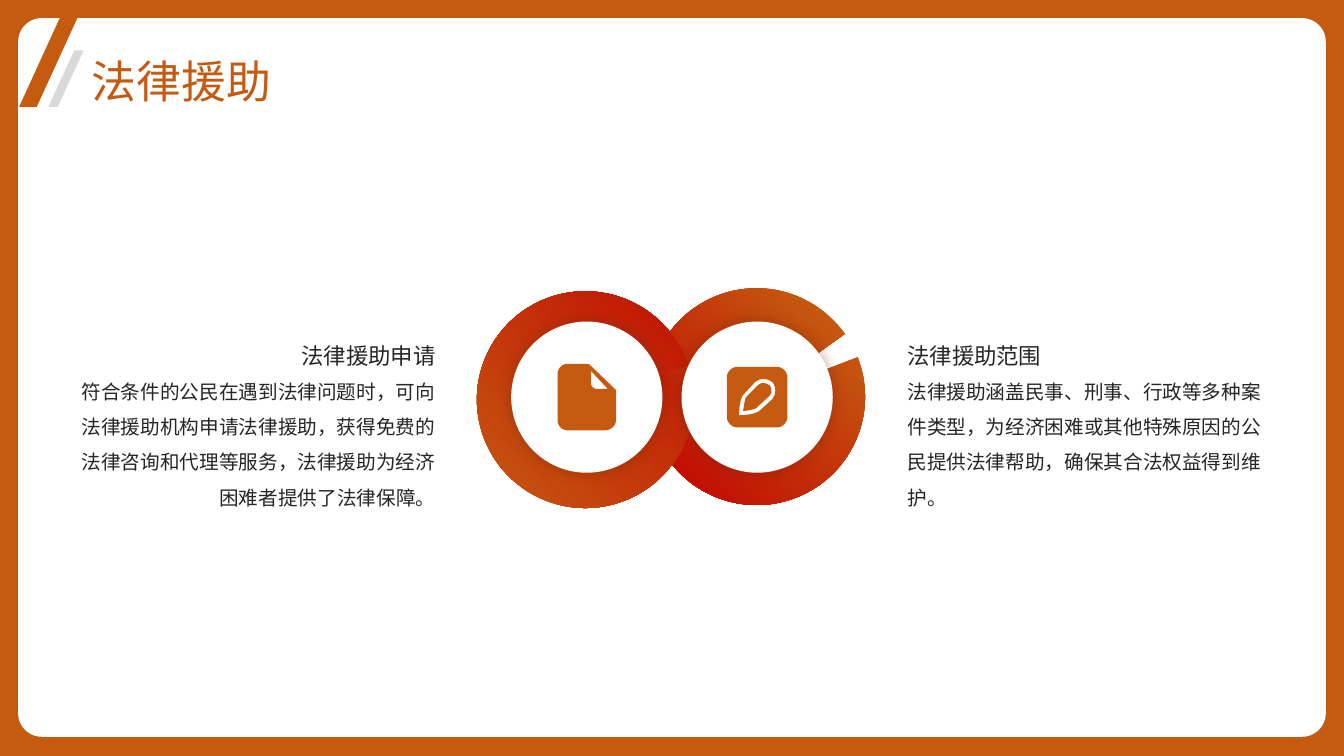
from dataclasses import dataclass

from lxml.etree import SubElement
from pptx import Presentation
from pptx.dml.color import RGBColor
from pptx.enum.shapes import MSO_SHAPE as Shape
from pptx.enum.text import MSO_ANCHOR as Anchor, MSO_AUTO_SIZE as AutoSize, PP_ALIGN as Align
from pptx.oxml.ns import qn
from pptx.util import Inches, Pt


@dataclass(frozen=True)
class Theme:
    font: str = "Noto Sans CJK SC"
    accent: str = "C55A11"
    red: str = "C00000"
    white: str = "FFFFFF"
    grey: str = "D9D9D9"
    ink: str = "262626"
    shadow: str = "622D08"
    title_size: int = 32
    heading_size: int = 16
    body_size: int = 14


THEME = Theme()

# Each contour is a start point, then line ends (x, y) or Bézier curves (six numbers).
DOCUMENT_ICON = [
    [(5.86, 3.68), (5.86, 3.8), (5.86, 3.83, 5.89, 3.86, 5.92, 3.86), (6.03, 3.86)],
    [(5.63, 3.61), (5.84, 3.61), (5.85, 3.62), (6.1, 3.86),
     (6.11, 3.87, 6.11, 3.87, 6.11, 3.88), (6.11, 4.17),
     (6.11, 4.22, 6.06, 4.27, 6, 4.27), (5.63, 4.27),
     (5.57, 4.27, 5.53, 4.22, 5.53, 4.17), (5.53, 3.71),
     (5.53, 3.66, 5.57, 3.61, 5.63, 3.61)],
]
PEN_ICON = [
    [(7.57, 3.8), (7.59, 3.8, 7.61, 3.81, 7.63, 3.82), (7.66, 3.85, 7.66, 3.9, 7.63, 3.93),
     (7.51, 4.04), (7.5, 4.06, 7.43, 4.07, 7.37, 4.08), (7.38, 4.02, 7.39, 3.95, 7.4, 3.94),
     (7.52, 3.82), (7.53, 3.81, 7.55, 3.8, 7.57, 3.8)],
    [(7.57, 3.76), (7.54, 3.76, 7.52, 3.77, 7.49, 3.79), (7.38, 3.91),
     (7.33, 3.95, 7.33, 4.12, 7.33, 4.12), (7.33, 4.12, 7.49, 4.12, 7.54, 4.07),
     (7.66, 3.96), (7.7, 3.91, 7.7, 3.84, 7.66, 3.79), (7.63, 3.77, 7.6, 3.76, 7.57, 3.76)],
    [(7.31, 3.64), (7.71, 3.64), (7.76, 3.64, 7.81, 3.69, 7.81, 3.74), (7.81, 4.14),
     (7.81, 4.19, 7.76, 4.24, 7.71, 4.24), (7.31, 4.24),
     (7.26, 4.24, 7.21, 4.19, 7.21, 4.14), (7.21, 3.74),
     (7.21, 3.69, 7.26, 3.64, 7.31, 3.64)],
]


def rgb(color):
    return RGBColor.from_string(color)


def style_shape(shape, color):
    shape.shadow.inherit = False
    shape.line.fill.background()
    shape.fill.solid()
    shape.fill.fore_color.rgb = rgb(color)


def add_block(page, kind, place, color, *adjustments):
    shape = page.shapes.add_shape(kind, *map(Inches, place))
    style_shape(shape, color)
    for index, value in enumerate(adjustments):
        shape.adjustments[index] = value
    return shape


def add_ring(page, left, top, start, end, thickness, angle, rotation=0, flipped=False):
    """Draw a gradient block arc; start and end are in degrees."""
    degree = 0.6  # 60000 units per degree, on a scale of 100000
    ring = add_block(page, Shape.BLOCK_ARC, (left, top, 2.15, 2.15), THEME.accent,
                     start * degree, end * degree, thickness)
    ring.rotation = rotation
    if flipped:
        ring.element.spPr.find(qn("a:xfrm")).set("flipH", "1")
    ring.fill.gradient()
    ring.fill.gradient_angle = angle
    stops = [(0.13, THEME.accent), (1, THEME.red)]
    for stop, (position, color) in zip(ring.fill.gradient_stops, stops):
        stop.position = position
        stop.color.rgb = rgb(color)


def add_disc(page, left):
    disc = add_block(page, Shape.OVAL, (left, 3.19, 1.5, 1.5), THEME.white)
    effects = disc.element.spPr.find(qn("a:effectLst"))
    glow = SubElement(effects, qn("a:outerShdw"), blurRad=str(Pt(10)), dist="0", dir="0",
                      algn="ctr", rotWithShape="0")
    color = SubElement(glow, qn("a:srgbClr"), val=THEME.shadow)
    SubElement(color, qn("a:alpha"), val="40000")


def curve_points(start, curve, steps=10):
    """Sample a cubic Bézier curve after its start point."""
    points = [start, curve[:2], curve[2:4], curve[4:]]
    for step in range(1, steps + 1):
        t = step / steps
        weights = ((1 - t) ** 3, 3 * t * (1 - t) ** 2, 3 * t * t * (1 - t), t ** 3)
        yield tuple(sum(w * p[axis] for w, p in zip(weights, points)) for axis in (0, 1))


def add_icon(page, contours):
    builder = None
    for start, *segments in contours:
        if builder is None:
            builder = page.shapes.build_freeform(*map(Inches, start))
        else:
            builder.move_to(*map(Inches, start))
        outline = [start]
        for segment in segments:
            outline.extend([segment] if len(segment) == 2 else curve_points(outline[-1], segment))
        builder.add_line_segments([tuple(map(Inches, point)) for point in outline[1:]], close=True)
    style_shape(builder.convert_to_shape(), THEME.accent)


def write_text(box, text, size, color, anchor, align=Align.LEFT, spacing=1.5):
    frame = box.text_frame
    frame_format = {"word_wrap": True, "auto_size": AutoSize.NONE, "vertical_anchor": anchor,
                    "margin_left": 0, "margin_right": 0, "margin_top": 0, "margin_bottom": 0}
    for name, value in frame_format.items():
        setattr(frame, name, value)
    para = frame.paragraphs[0]
    para.alignment = align
    para.line_spacing = spacing
    span = para.add_run()
    span.text = text
    for name, value in {"size": Pt(size), "name": THEME.font}.items():
        setattr(span.font, name, value)
    span.font.color.rgb = rgb(color)
    SubElement(span.font._element, qn("a:ea"), typeface=THEME.font)


def add_topic(page, left, align, heading, body):
    parts = [(3.12, 0.54, heading, THEME.heading_size, Anchor.BOTTOM),
             (3.65, 2.04, body, THEME.body_size, Anchor.TOP)]
    for top, height, text, size, anchor in parts:
        box = page.shapes.add_textbox(*map(Inches, (left, top, 3.6, height)))
        write_text(box, text, size, THEME.ink, anchor, align)


def set_title(page, text):
    title = page.shapes.title
    title.left, title.top, title.width, title.height = map(Inches, (0.91, 0.52, 11.68, 0.51))
    write_text(title, text, THEME.title_size, THEME.accent, Anchor.MIDDLE, spacing=1.1)
    title.element.getparent().append(title.element)  # bring above the white panel


def main():
    deck = Presentation()
    deck.slide_width, deck.slide_height = Inches(13.33), Inches(7.5)
    page = deck.slides.add_slide(deck.slide_layouts[5])

    add_block(page, Shape.RECTANGLE, (0, 0, 13.33, 7.5), THEME.accent)
    add_block(page, Shape.ROUNDED_RECTANGLE, (0.18, 0.18, 12.97, 7.13), THEME.white, 0.033)

    add_ring(page, 6.43, 2.86, 215.33, 201.31, 0.156, angle=315, flipped=True)
    add_topic(page, 9, Align.LEFT, "法律援助范围",
              "法律援助涵盖民事、刑事、行政等多种案件类型，为经济困难或其他特殊原因的公民提供法律帮助，"
              "确保其合法权益得到维护。")
    add_topic(page, 0.72, Align.RIGHT, "法律援助申请",
              "符合条件的公民在遇到法律问题时，可向法律援助机构申请法律援助，获得免费的法律咨询和代理等服务，"
              "法律援助为经济困难者提供了法律保障。")
    add_ring(page, 4.73, 2.89, 37.81, 26.39, 0.241, angle=0, rotation=315)
    for left, icon in ((5.07, DOCUMENT_ICON), (6.76, PEN_ICON)):
        add_disc(page, left)
        add_icon(page, icon)

    set_title(page, "法律援助")
    add_block(page, Shape.PARALLELOGRAM, (0.19, 0, 0.66, 1.06), THEME.accent, 0.735)
    add_block(page, Shape.PARALLELOGRAM, (0.48, 0.5, 0.35, 0.56), THEME.grey, 0.735)
    deck.save("out.pptx")


if __name__ == "__main__":
    main()
